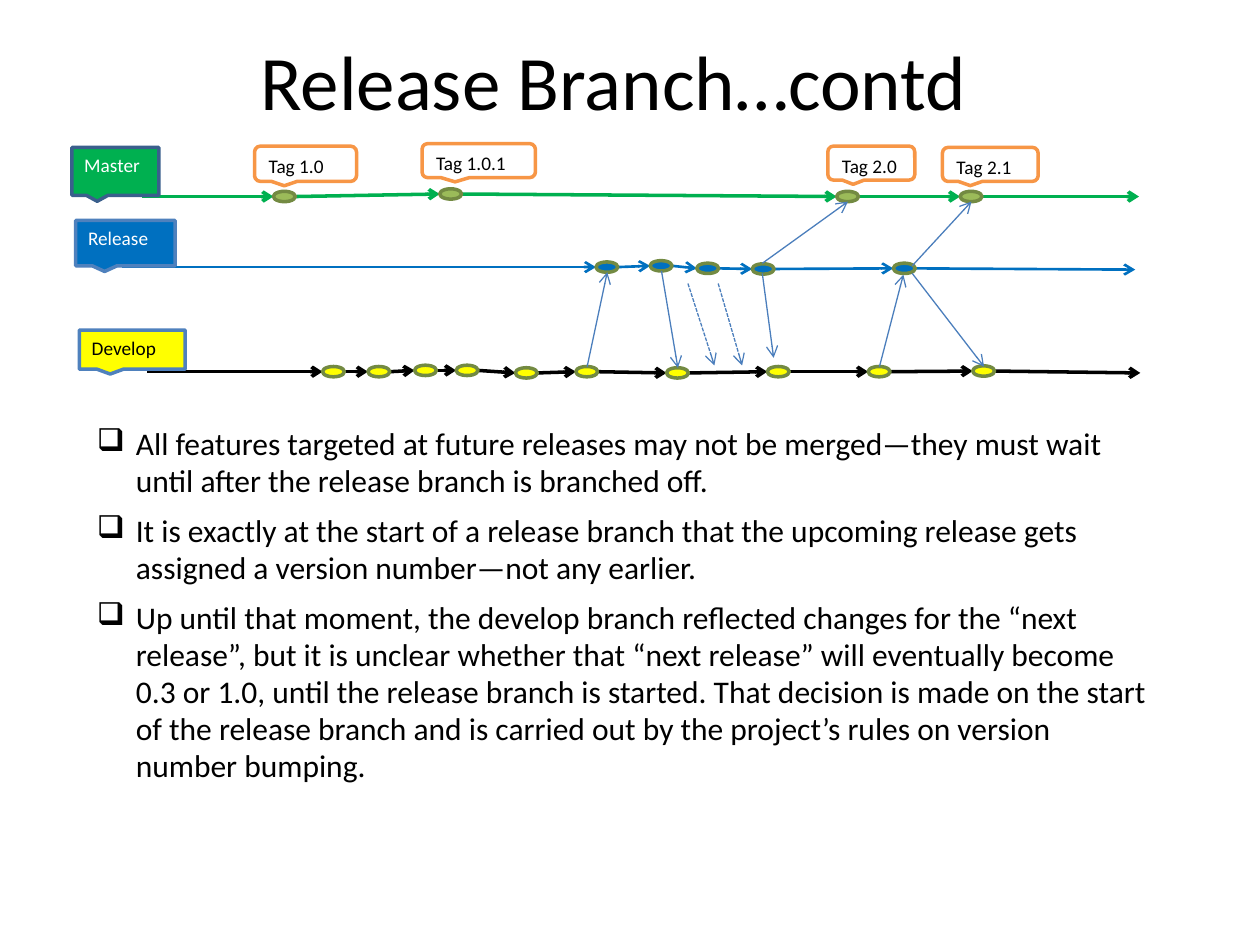
from dataclasses import dataclass

from lxml import etree
from pptx import Presentation
from pptx import util as u
from pptx.dml.color import RGBColor
from pptx.enum import dml, shapes, text
from pptx.oxml.ns import qn

# Lengths are cells of a grid of 100 columns by 75 rows.
COLUMNS, ROWS = 100, 75
CELL = u.Inches(10) // COLUMNS
NODE_WIDTH, NODE_HEIGHT = 1.74, 0.82
FONT = "Calibri"
COLOURS = {
    "white": "FFFFFF", "black": "000000", "green": "00B050", "blue": "0070C0",
    "yellow": "FFFF00", "olive": "9BBB59", "node edge": "738A42",
    "merge": "4B7EBC", "orange": "F79646", "navy": "3A5F8C", "steel": "4F81BD",
}
BULLETS = [
    "All features targeted at future releases may not be merged—they must wait "
    "until after the release branch is branched off.",
    "It is exactly at the start of a release branch that the upcoming release "
    "gets assigned a version number—not any earlier.",
    "Up until that moment, the develop branch reflected changes for the “next "
    "release”, but it is unclear whether that “next release” will eventually "
    "become 0.3 or 1.0, until the release branch is started. That decision is "
    "made on the start of the release branch and is carried out by the "
    "project’s rules on version number bumping.",
]


@dataclass
class Callout:
    label: str
    box: tuple[float, float, float, float]
    fill: str = "white"
    edge: str = "orange"
    ink: str = "black"
    preset: shapes.MSO_SHAPE = shapes.MSO_SHAPE.RECTANGULAR_CALLOUT


@dataclass
class Branch:
    """A timeline; each commit is the left and the middle of its node."""
    start: tuple[float, float]
    end: tuple[float, float]
    commits: list[tuple[float, float]]
    line: str
    node: str
    weight: float
    callout: Callout


@dataclass
class Merge:
    start: tuple[float, float]
    end: tuple[float, float]
    dashed: bool = False


BRANCHES = [
    Branch((11.3, 15.6), (90.4, 15.6),
           [(21.7, 15.6), (34.9, 15.4), (66.4, 15.6), (76.2, 15.6)],
           "green", "olive", 2,
           Callout("Master", (5.7, 11.7, 6.9, 3.8), "green", "navy", "white")),
    Branch((9.7, 21.2), (90.1, 21.4),
           [(47.3, 21.2), (51.6, 21.1), (55.3, 21.3), (59.7, 21.35), (70.9, 21.3)],
           "blue", "blue", 1.5,
           Callout("Release", (6, 17.5, 7.9, 3.6), "blue", "steel", "white")),
    Branch((11.7, 29.5), (90.5, 29.6),
           [(25.6, 29.5), (29.2, 29.5), (32.9, 29.4), (36.2, 29.4), (40.9, 29.6),
            (45.7, 29.5), (52.9, 29.6), (60.9, 29.5), (68.9, 29.5), (77.2, 29.45)],
           "black", "yellow", 2,
           Callout("Develop", (6.3, 26.2, 8.4, 3.1), "yellow", "steel")),
]
MERGES = [
    Merge((46.6, 29.1), (48.2, 21.6)),
    Merge((52.5, 21.5), (53.8, 29.2)),
    Merge((54.6, 22.5), (56.7, 29), dashed=True),
    Merge((57, 22.5), (58.9, 29), dashed=True),
    Merge((60.5, 21.7), (61.4, 28.4)),
    Merge((60.5, 20.9), (67.3, 16)),
    Merge((69.8, 29.1), (71.7, 21.8)),
    Merge((72.4, 21.1), (77.1, 16)),
    Merge((72.4, 21.7), (78.1, 29.1)),
]
TAGS = [
    Callout(label, box, preset=shapes.MSO_SHAPE.ROUNDED_RECTANGULAR_CALLOUT)
    for label, box in [
        ("Tag 1.0", (20.2, 11.6, 8.1, 2.8)), ("Tag 1.0.1", (33.5, 11.4, 9, 2.7)),
        ("Tag 2.0", (65.7, 11.6, 6.9, 2.7)), ("Tag 2.1", (74.8, 11.7, 7.6, 2.7)),
    ]
]


def cells(*counts: float) -> list[int]:
    return [round(count * CELL) for count in counts]


def rgb(name: str) -> RGBColor:
    return RGBColor.from_string(COLOURS[name])


def add_run(paragraph, words: str, size: float, ink: str = "black") -> None:
    run = paragraph.add_run()
    run.text = words
    run.font.name, run.font.size = FONT, u.Pt(size)
    run.font.color.rgb = rgb(ink)


def add_arrow(slide, start, end, colour: str, weight: float, dashed=False) -> None:
    arrow = slide.shapes.add_connector(
        shapes.MSO_CONNECTOR.STRAIGHT, *cells(*start, *end))
    arrow.line.color.rgb, arrow.line.width = rgb(colour), u.Pt(weight)
    if dashed:
        arrow.line.dash_style = dml.MSO_LINE.SQUARE_DOT
    properties = arrow.line._get_or_add_ln()
    etree.SubElement(properties, qn("a:tailEnd"), type="arrow")
    etree.SubElement(arrow._element.spPr, qn("a:effectLst"))


def add_outlined(slide, preset, box, fill: str, edge: str):
    shape = slide.shapes.add_shape(preset, *cells(*box))
    shape.shadow.inherit = False
    shape.fill.solid()
    shape.fill.fore_color.rgb = rgb(fill)
    shape.line.color.rgb, shape.line.width = rgb(edge), u.Pt(2)
    return shape


def add_callout(slide, callout: Callout) -> None:
    shape = add_outlined(slide, callout.preset, callout.box, callout.fill, callout.edge)
    frame = shape.text_frame
    frame.margin_right = 0
    frame.vertical_anchor = text.MSO_ANCHOR.TOP
    label = frame.paragraphs[0]
    label.alignment = text.PP_ALIGN.LEFT
    add_run(label, callout.label, 11, callout.ink)


def add_branch(slide, branch: Branch) -> None:
    """Link the commits from edge to edge, then draw nodes and name."""
    departures = [branch.start] + [(x + NODE_WIDTH, y) for x, y in branch.commits]
    for start, end in zip(departures, branch.commits + [branch.end]):
        add_arrow(slide, start, end, branch.line, branch.weight)
    for left, middle in branch.commits:
        box = (left, middle - NODE_HEIGHT / 2, NODE_WIDTH, NODE_HEIGHT)
        add_outlined(slide, shapes.MSO_SHAPE.OVAL, box, branch.node, "node edge")
    add_callout(slide, branch.callout)


def add_title(slide, words: str) -> None:
    frame = slide.shapes.add_textbox(*cells(3.7, 1.7, 90, 9.2)).text_frame
    frame.word_wrap = True
    frame.vertical_anchor = text.MSO_ANCHOR.MIDDLE
    frame.paragraphs[0].alignment = text.PP_ALIGN.CENTER
    add_run(frame.paragraphs[0], words, 44)


def add_bullets(slide, items: list[str]) -> None:
    frame = slide.shapes.add_textbox(*cells(6.7, 33.3, 85.8, 33.4)).text_frame
    frame.word_wrap = True
    indent = cells(3.1)[0]
    for index, item in enumerate(items):
        paragraph = frame.add_paragraph() if index else frame.paragraphs[0]
        paragraph.space_before, paragraph.space_after = u.Pt(6), u.Pt(1.3)
        paragraph.line_spacing = 0.98
        properties = paragraph._p.get_or_add_pPr()
        properties.set("marL", str(indent))
        properties.set("indent", str(-indent))
        etree.SubElement(properties, qn("a:buChar"), char="❑")
        add_run(paragraph, item, 18)


def main() -> None:
    deck = Presentation()
    deck.slide_width, deck.slide_height = cells(COLUMNS, ROWS)
    slide = deck.slides.add_slide(deck.slide_layouts[6])
    add_title(slide, "Release Branch…contd")
    for tag in TAGS:
        add_callout(slide, tag)
    for branch in BRANCHES:
        add_branch(slide, branch)
    for merge in MERGES:
        add_arrow(slide, merge.start, merge.end, "merge", 0.75, merge.dashed)
    add_bullets(slide, BULLETS)
    deck.save("out.pptx")


if __name__ == "__main__":
    main()
